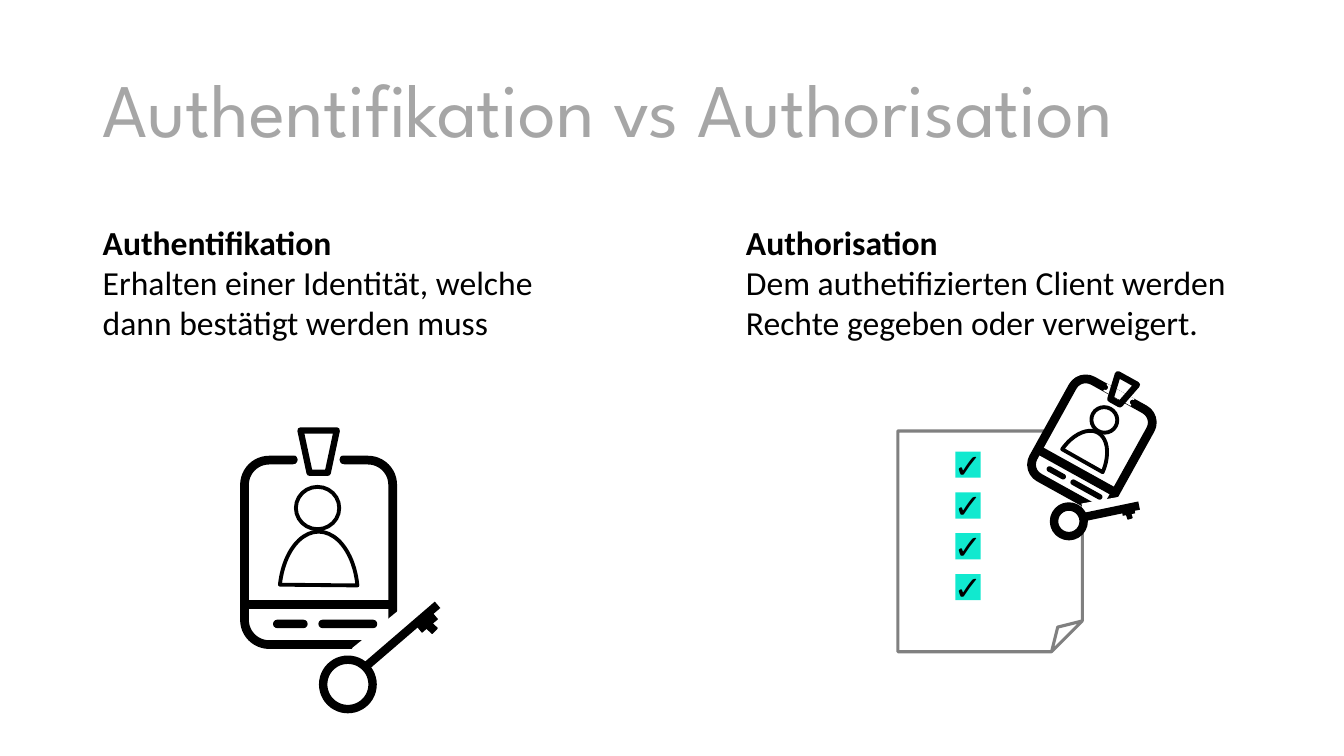
"""Build a slide that contrasts authentication with authorisation."""
from math import cos, radians, sin

from pptx import Presentation
from pptx.dml.color import RGBColor
from pptx.enum.shapes import MSO_CONNECTOR, MSO_SHAPE as S
from pptx.enum.text import MSO_ANCHOR, PP_ALIGN
from pptx.oxml.ns import qn
from pptx.util import Inches, Pt

BLACK = RGBColor(0, 0, 0)
WHITE = RGBColor(255, 255, 255)
SILVER = RGBColor(0xA6, 0xA6, 0xA6)
GREY = RGBColor(0x80, 0x80, 0x80)
MINT = RGBColor(0x11, 0xE9, 0xCF)

TITLE = "Authentifikation vs Authorisation"
TEXTS = [
    (0.92, "Authentifikation",
     "Erhalten einer Identität, welche dann bestätigt werden muss"),
    (7.3, "Authorisation",
     "Dem authetifizierten Client werden Rechte gegeben oder verweigert."),
]
CHECKS = ["✓"] * 4

# Each part: kind, centre offset, size, turn, fill, line colour, line width, adjustments
CARD = [
    (S.ROUNDED_RECTANGLE, 0, 0, 1.47, 1.83, 0, WHITE, BLACK, 6.25, ()),
    (S.FLOWCHART_STORED_DATA, 0.1, -0.92, 0.3, 0.11, 0, WHITE, WHITE, 1, ()),
    (S.FLOWCHART_STORED_DATA, -0.1, -0.92, 0.3, 0.11, 180, WHITE, WHITE, 1, ()),
]
STRIPE = (-0.71, 0.52, 0.72, 0.52, 6.25)
FACE = [
    (S.ROUNDED_RECTANGLE, 0.29, 0.71, 0.57, 0.07, 0, BLACK, BLACK, 1, (0.5,)),
    (S.ROUNDED_RECTANGLE, -0.28, 0.71, 0.33, 0.07, 0, BLACK, BLACK, 1, (0.5,)),
    (S.TRAPEZOID, 0, -1, 0.36, 0.42, 180, None, BLACK, 4.5, ()),
    (S.OVAL, -0.01, -0.44, 0.43, 0.42, 0, None, BLACK, 2.75, ()),
    (S.CHORD, 0, 0.43, 1.27, 0.78, 90, None, BLACK, 2.75, (63.51, 153.12)),
    (S.RECTANGLE, 0.85, 0.8, 0.42, 1, 50.9, WHITE, None, 0, ()),
    (S.OVAL, 0.29, 1.31, 0.49, 0.49, 0, WHITE, BLACK, 6, ()),
]
SHAFT = (0.46, 1.14, 1.18, 0.52, 6)
TEETH = [
    (S.RECTANGLE, 1.08, 0.7, 0.21, 0.08, 319.7, BLACK, None, 0, ()),
    (S.RECTANGLE, 1.1, 0.73, 0.14, 0.07, 43.7, BLACK, BLACK, 1, ()),
]
BADGES = [(3.16, 5.48, 1, 0), (10.83, 4.4, 0.6, 29)]

deck = Presentation()
deck.slide_width, deck.slide_height = Inches(13.33), Inches(7.5)
slide = deck.slides.add_slide(deck.slide_layouts[5])


def write(para, text, size=24, font="Calibri", color=BLACK, bold=False):
    run = para.add_run()
    run.text = text
    run.font.size, run.font.name, run.font.bold = Pt(size), font, bold
    run.font.color.rgb = color


def draw(group, kind, x, y, w, h, turn, fill, line, width, adjust):
    shape = group.shapes.add_shape(
        kind, *map(Inches, (x - w / 2, y - h / 2, w, h)))
    shape.shadow.inherit = False
    shape.rotation = turn % 360
    for i, value in enumerate(adjust):
        shape.adjustments[i] = value
    if fill is None:
        shape.fill.background()
    else:
        shape.fill.solid()
        shape.fill.fore_color.rgb = fill
    if line is None:
        shape.line.fill.background()
    else:
        shape.line.color.rgb, shape.line.width = line, Pt(width)
    return shape


def badge(x, y, scale, turn):
    group = slide.shapes.add_group_shape()
    c, s = scale * cos(radians(turn)), scale * sin(radians(turn))

    def place(dx, dy):
        return x + dx * c - dy * s, y + dx * s + dy * c

    def parts(items):
        for kind, dx, dy, w, h, tilt, *style in items:
            draw(group, kind, *place(dx, dy), w * scale, h * scale,
                 tilt + turn, *style)

    def stroke(x1, y1, x2, y2, width):
        ends = place(x1, y1) + place(x2, y2)
        line = group.shapes.add_connector(
            MSO_CONNECTOR.STRAIGHT, *map(Inches, ends))
        line.line.color.rgb, line.line.width = BLACK, Pt(width)
        props = line._element.spPr
        props.append(props.makeelement(qn("a:effectLst"), {}))

    parts(CARD)
    stroke(*STRIPE)
    parts(FACE)
    stroke(*SHAFT)
    parts(TEETH)


title = slide.shapes.title
title.left, title.top, title.width, title.height = map(
    Inches, (0.92, 0.4, 11.97, 1.45))
title.text_frame.vertical_anchor = MSO_ANCHOR.MIDDLE
head = title.text_frame.paragraphs[0]
head.alignment, head.line_spacing = PP_ALIGN.LEFT, 0.9
write(head, TITLE, size=54, font="League Spartan", color=SILVER)

for left, term, text in TEXTS:
    box = slide.shapes.add_textbox(*map(Inches, (left, 2.15, 5.12, 1.31)))
    box.text_frame.word_wrap = True
    para = box.text_frame.paragraphs[0]
    write(para, term, bold=True)
    para.add_line_break()
    write(para, text)

sheet = slide.shapes.add_group_shape()
for row, mark in enumerate(CHECKS):
    tick = draw(sheet, S.RECTANGLE, 9.6, 4.61 + row * 0.405, 0.25, 0.26,
                0, MINT, None, 0, ())
    frame = tick.text_frame
    frame.margin_left = frame.margin_right = 0
    frame.margin_top = frame.margin_bottom = 0
    frame.word_wrap = False
    frame.vertical_anchor = MSO_ANCHOR.MIDDLE
    frame.paragraphs[0].alignment = PP_ALIGN.CENTER
    write(frame.paragraphs[0], mark)
draw(sheet, S.FOLDED_CORNER, 9.82, 5.37, 1.83, 2.19, 0, None, GREY, 2.25, ())

for spot in BADGES:
    badge(*spot)

deck.save("out.pptx")
